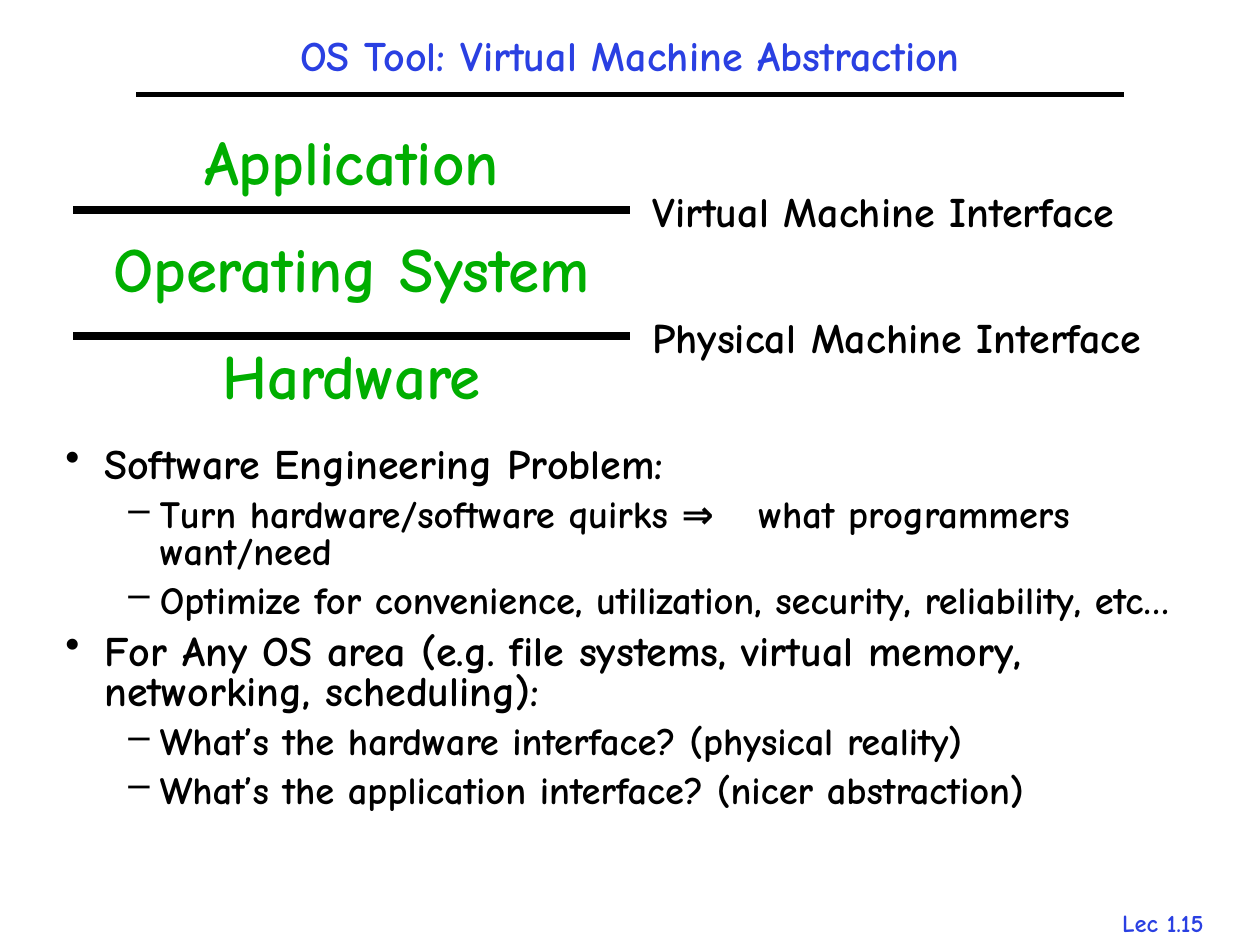
import pptx
import pptx.util
import pptx.dml.color
import pptx.enum.shapes
import pptx.enum.text
import pptx.oxml.ns
from lxml import etree

Inches, Pt = pptx.util.Inches, pptx.util.Pt
ALIGN = pptx.enum.text.PP_ALIGN
ANCHOR = pptx.enum.text.MSO_ANCHOR

# Content
TITLE = "OS Tool: Virtual Machine Abstraction"
PAGE_LABEL = "Lec 1.15"
LAYERS = ["Application", "Operating System", "Hardware"]
INTERFACES = [("Virtual Machine Interface", 4.45), ("Physical Machine Interface", 4.62)]
POINTS = [
    (0, "Software Engineering Problem:"),
    (1, "Turn hardware/software quirks ⇒ \twhat programmers want/need"),
    (1, "Optimize for convenience, utilization, security, reliability, etc…"),
    (0, "For Any OS area (e.g. file systems, virtual memory, networking, scheduling):"),
    (1, "What’s the hardware interface? (physical reality)"),
    (1, "What’s the application interface? (nicer abstraction)"),
]

THEME = {
    "font": "Comic Neue",
    "blue": "2A40E2", "green": "00AE00", "black": "000000",
    "title": 24, "layer": 36, "label": 24, "page": 14,
    "points": (24, 22),
}
# Per level: bullet, left margin, hanging indent
BULLETS = [("•", 0.31, 0.31), ("–", 0.75, 0.25)]

# Layout
WIDTH, HEIGHT = 10, 7.5
RULE_MARGIN, RULE_Y = 1.08, 0.75
LAYER_LEFT, LAYER_RIGHT = 0.58, 5
FIRST_INTERFACE_Y, INTERFACE_STEP = 1.67, 1
LABEL_LEFT, LABEL_HEIGHT = 5.08, 0.5

deck = pptx.Presentation()
deck.slide_width, deck.slide_height = Inches(WIDTH), Inches(HEIGHT)
slide = deck.slides.add_slide(deck.slide_layouts[6])


def rgb(name):
    return pptx.dml.color.RGBColor.from_string(THEME[name])


def add_rule(left, right, y, weight):
    rule = slide.shapes.add_connector(
        pptx.enum.shapes.MSO_CONNECTOR.STRAIGHT,
        Inches(left), Inches(y), Inches(right), Inches(y))
    rule.line.color.rgb = rgb("black")
    rule.line.width = Pt(weight)
    etree.SubElement(rule._element.spPr, pptx.oxml.ns.qn("a:effectLst"))


def add_frame(left, top, width, height, wrap=True, anchor=ANCHOR.TOP):
    box = slide.shapes.add_textbox(*map(Inches, (left, top, width, height)))
    frame = box.text_frame
    frame.word_wrap = wrap
    frame.vertical_anchor = anchor
    return frame


def set_bullet(paragraph, level):
    mark, margin, hanging = BULLETS[level]
    properties = paragraph._p.get_or_add_pPr()
    properties.set("marL", str(Inches(margin)))
    properties.set("indent", str(-Inches(hanging)))
    bullet = etree.SubElement(properties, pptx.oxml.ns.qn("a:buChar"))
    bullet.set("char", mark)


def set_space_before(paragraph, percent):
    properties = paragraph._p.get_or_add_pPr()
    space = properties.get_or_add_spcBef()
    share = etree.SubElement(space, pptx.oxml.ns.qn("a:spcPct"))
    share.set("val", str(percent * 1000))


def write(frame, lines, size, color, align=ALIGN.LEFT, spacing=None, before=0, bulleted=False):
    """Write (level, text) lines; size is one number per level."""
    for index, (level, text) in enumerate(lines):
        paragraph = frame.add_paragraph() if index else frame.paragraphs[0]
        paragraph.text = text
        paragraph.level = level
        paragraph.alignment = align
        if spacing:
            paragraph.line_spacing = spacing
        if before and index:
            set_space_before(paragraph, before)
        if bulleted:
            set_bullet(paragraph, level)
        font = paragraph.font
        font.name, font.size, font.bold = THEME["font"], Pt(size[level]), True
        font.color.rgb = rgb(color)


# Page label, title and title rule
write(add_frame(8.63, 7.16, 1.2, 0.33, wrap=False), [(0, PAGE_LABEL)],
      [THEME["page"]], "blue", ALIGN.CENTER)
add_rule(RULE_MARGIN, WIDTH - RULE_MARGIN, RULE_Y, 3)
write(add_frame(RULE_MARGIN, 0.17, WIDTH - 2 * RULE_MARGIN, 0.58, anchor=ANCHOR.MIDDLE),
      [(0, TITLE)], [THEME["title"]], "blue", ALIGN.CENTER, spacing=0.9)

# Discussion points
write(add_frame(0.42, 3.5, 9.33, 3.42), POINTS, THEME["points"], "black",
      spacing=0.8, before=30, bulleted=True)

# Layer stack
write(add_frame(0.25, 0.92, 5.08, 2.5), [(0, layer) for layer in LAYERS],
      [THEME["layer"]], "green", ALIGN.CENTER, before=50)

# Interfaces between the layers
for row, (label, label_width) in enumerate(INTERFACES):
    y = FIRST_INTERFACE_Y + row * INTERFACE_STEP
    add_rule(LAYER_LEFT, LAYER_RIGHT, y, 4.5)
    write(add_frame(LABEL_LEFT, y - LABEL_HEIGHT / 2, label_width, LABEL_HEIGHT, wrap=False),
          [(0, label)], [THEME["label"]], "black")

deck.save("out.pptx")
